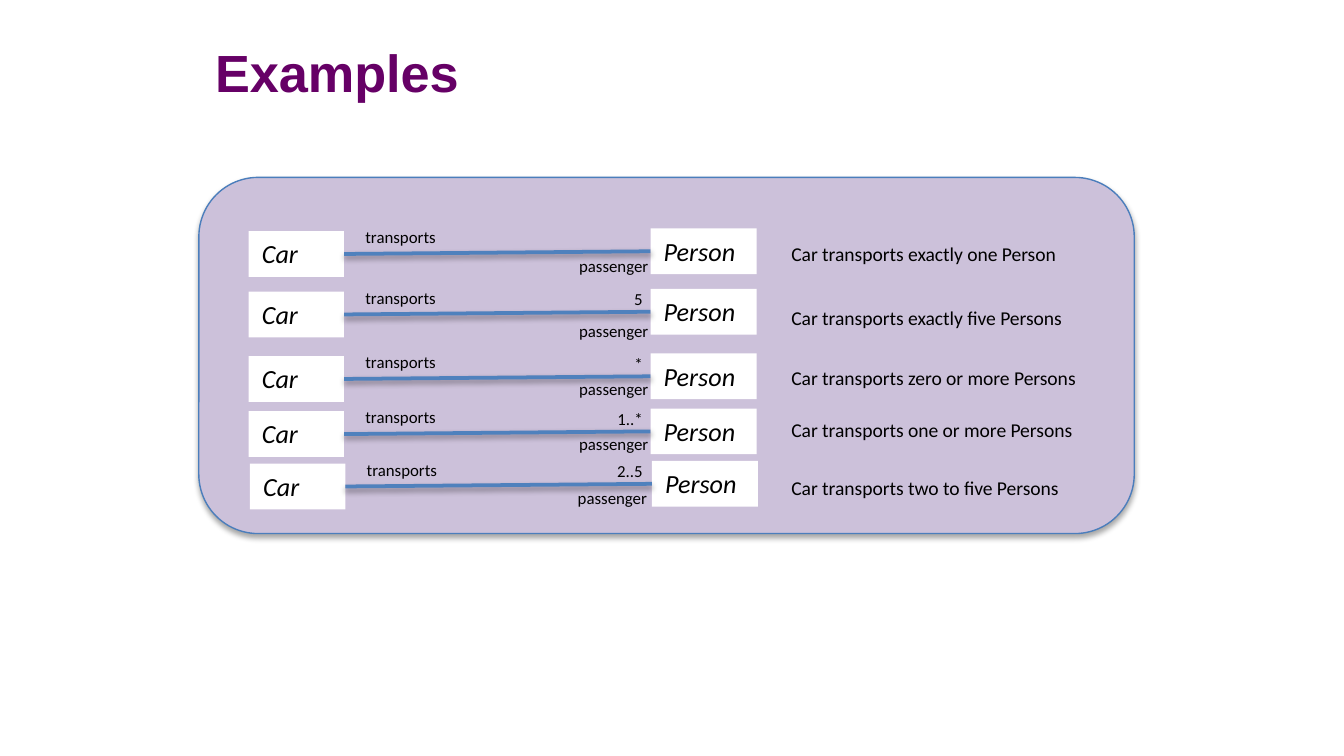
from dataclasses import dataclass
from lxml.etree import SubElement
from pptx import Presentation
from pptx.dml.color import RGBColor
from pptx.enum.shapes import MSO_CONNECTOR, MSO_SHAPE
from pptx.enum.text import MSO_ANCHOR, MSO_AUTO_SIZE, PP_ALIGN
from pptx.oxml.ns import qn
from pptx.util import Inches, Pt


@dataclass(frozen=True)
class Theme:
    title: RGBColor = RGBColor(0x66, 0x00, 0x66)
    panel: RGBColor = RGBColor(0xCC, 0xC1, 0xDA)
    edge: RGBColor = RGBColor(0x4B, 0x7E, 0xBC)
    link: RGBColor = RGBColor(0x4F, 0x81, 0xBD)
    white: RGBColor = RGBColor(0xFF, 0xFF, 0xFF)
    black: RGBColor = RGBColor(0, 0, 0)
    head: Pt = Pt(28)
    name: Pt = Pt(14)
    note: Pt = Pt(10.5)
    label: Pt = Pt(9)


theme = Theme()


def write(shape, text, font, align=PP_ALIGN.LEFT, anchor=MSO_ANCHOR.TOP):
    """Fill the shape with one paragraph; font maps attributes to values."""
    frame = shape.text_frame
    frame.text = text
    frame.word_wrap = True
    frame.auto_size = MSO_AUTO_SIZE.NONE
    frame.vertical_anchor = anchor
    para = frame.paragraphs[0]
    para.alignment = align
    color = font.get("color", theme.black)
    for key, value in font.items():
        if key != "color":
            setattr(para.font, key, value)
    para.font.color.rgb = color


def shade(shape, alpha, dist):
    """Cast a soft black shadow straight down; call after fill and line."""
    effects = SubElement(shape.element.spPr, qn("a:effectLst"))
    outer = SubElement(effects, qn("a:outerShdw"), blurRad=str(Pt(3.1)),
                       dist=str(Pt(dist)), dir="5400000", rotWithShape="0")
    black = SubElement(outer, qn("a:srgbClr"), val="000000")
    SubElement(black, qn("a:alpha"), val=str(alpha * 1000))


deck = Presentation()
deck.slide_width = Inches(10)
deck.slide_height = Inches(10) * 9 // 16
slide = deck.slides.add_slide(deck.slide_layouts[5])
shapes = slide.shapes

title = shapes.title
place = {"left": 1.5, "top": 0.19, "width": 6.38, "height": 0.69}
for key, value in place.items():
    setattr(title, key, Inches(value))
write(title, "Examples",
      {"name": "Arial", "size": theme.head, "bold": True, "color": theme.title},
      anchor=MSO_ANCHOR.MIDDLE)

panel = shapes.add_shape(MSO_SHAPE.ROUNDED_RECTANGLE, Inches(1.48), Inches(1.32),
                         Inches(6.96), Inches(2.65))
panel.fill.solid()
panel.fill.fore_color.rgb = theme.panel
panel.line.color.rgb = theme.edge
panel.line.width = Pt(0.75)
shade(panel, 35, 1.8)

name_font = {"name": "Calibri", "size": theme.name, "italic": True}
label_font = {"name": "Calibri", "size": theme.label}
note_font = {"name": "Calibri", "size": theme.note}

# Row top, sideways shift, role top, note top, multiplicity, meaning
rows = [
    (1.72, 0, 1.85, 1.75, "", "exactly one Person"),
    (2.17, 0, 2.34, 2.23, "5", "exactly five Persons"),
    (2.65, 0, 2.77, 2.67, "*", "zero or more Persons"),
    (3.06, 0, 3.18, 3.06, "1..*", "one or more Persons"),
    (3.45, 0.01, 3.58, 3.49, "2..5", "two to five Persons"),
]
for top, shift, role, note, count, meaning in rows:
    ends = []
    for name, left, y, width in (("Car", 1.85, top, 0.71),
                                 ("Person", 4.84, top - 0.02, 0.79)):
        box = shapes.add_shape(MSO_SHAPE.RECTANGLE, Inches(left + shift), Inches(y),
                               Inches(width), Inches(0.34))
        box.shadow.inherit = False
        box.fill.solid()
        box.fill.fore_color.rgb = theme.white
        box.line.fill.background()
        write(box, name, name_font)
        ends.append(box)

    link = shapes.add_connector(MSO_CONNECTOR.STRAIGHT, 0, 0, 0, 0)
    link.begin_connect(ends[0], 3)
    link.end_connect(ends[1], 1)
    link.line.color.rgb = theme.link
    link.line.width = Pt(2)
    shade(link, 38, 1.6)

    labels = [
        ("transports", 2.62 + shift, top - 0.08, 0.79, 0.25, label_font, PP_ALIGN.LEFT),
        ("passenger", 4.21 - shift, role, 0.79, 0.25, label_font, PP_ALIGN.LEFT),
        ("Car transports " + meaning, 5.79, note, 2.36, 0.28, note_font, PP_ALIGN.LEFT),
    ]
    if count:
        labels.append((count, 4.2, top - 0.07, 0.68, 0.25, label_font, PP_ALIGN.RIGHT))
    for text, left, y, width, height, font, align in labels:
        box = shapes.add_textbox(Inches(left), Inches(y), Inches(width), Inches(height))
        write(box, text, font, align)

deck.save("out.pptx")
